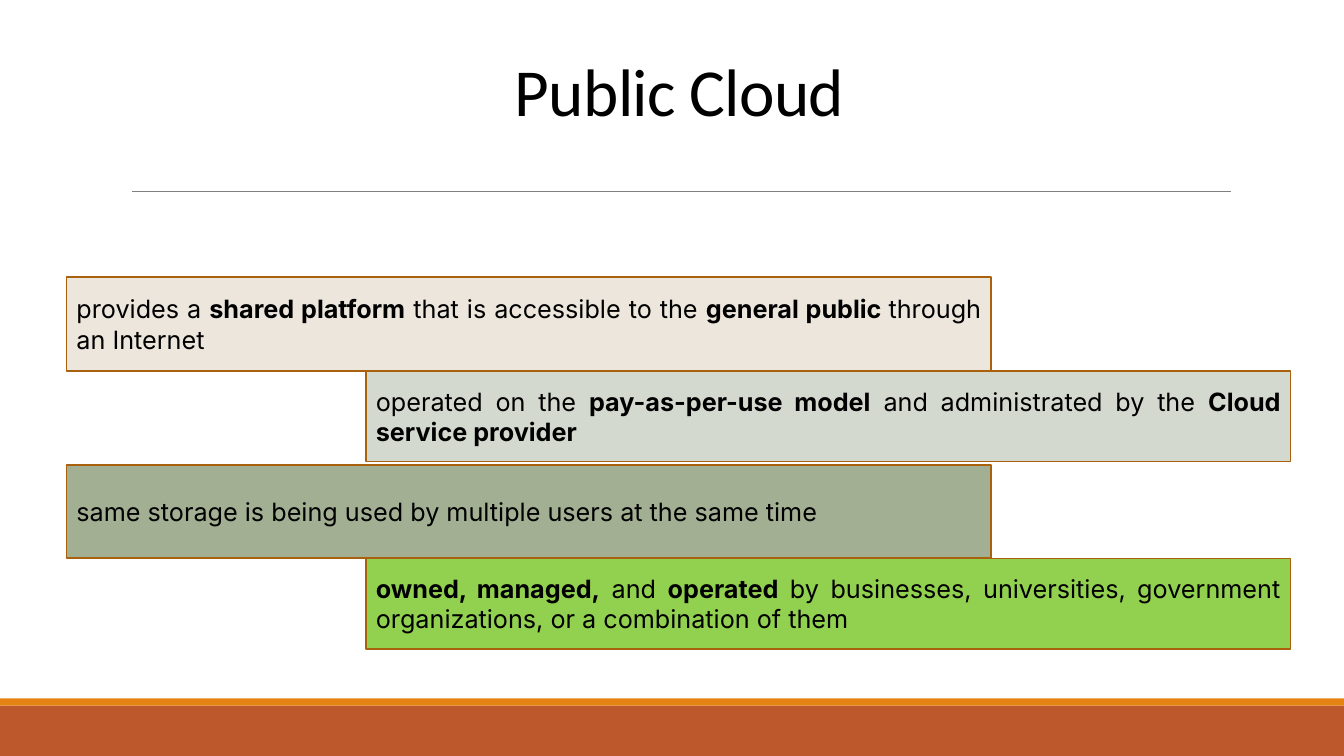
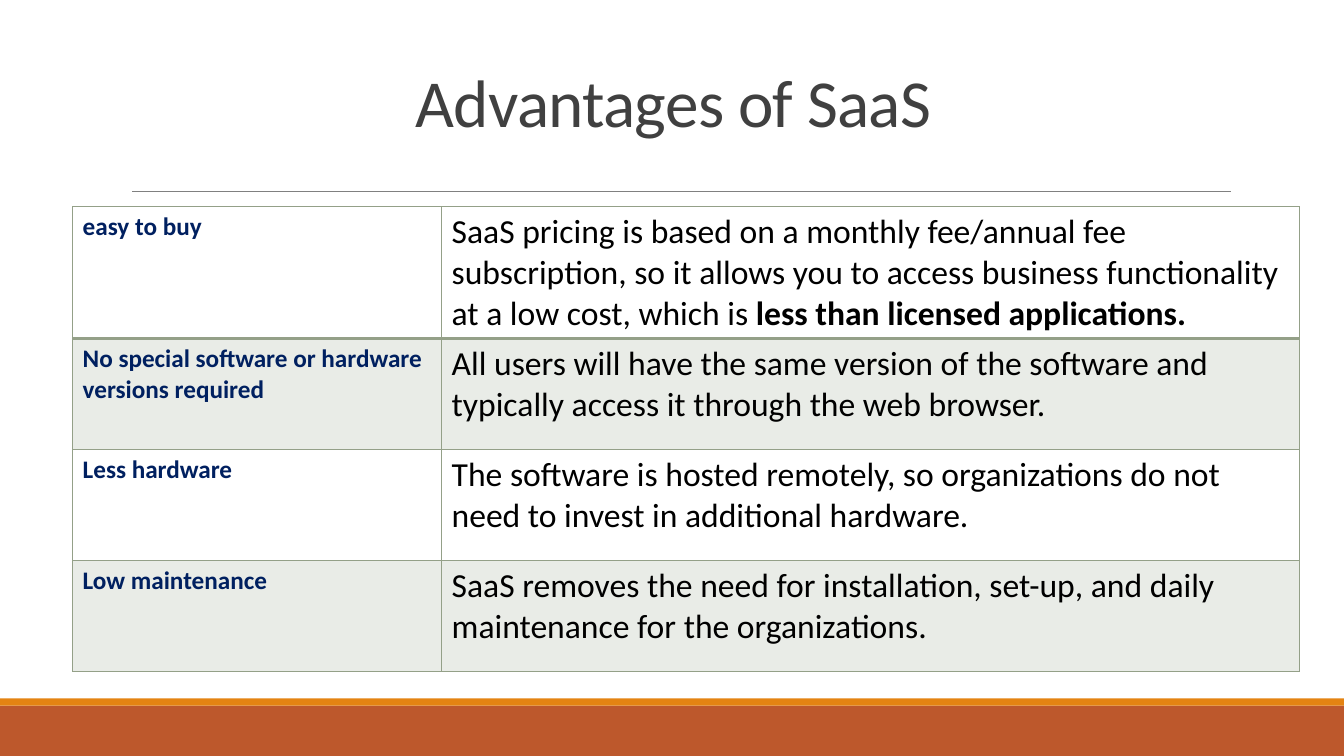
from lxml import etree
from pptx import Presentation
from pptx.dml.color import RGBColor
from pptx.enum.shapes import MSO_CONNECTOR, MSO_SHAPE
from pptx.enum.text import MSO_ANCHOR, PP_ALIGN
from pptx.oxml.ns import qn
from pptx.util import Inches, Pt

RECTANGLE = MSO_SHAPE.RECTANGLE
STRAIGHT = MSO_CONNECTOR.STRAIGHT
MIDDLE, BOTTOM = MSO_ANCHOR.MIDDLE, MSO_ANCHOR.BOTTOM
CENTER, JUSTIFY = PP_ALIGN.CENTER, PP_ALIGN.JUSTIFY

BLACK = "000000"
NAVY = "002060"
SAGE = "94A088"
PALE_SAGE = "E9ECE7"
BROWN = "A9610D"
RULE_GRAY = "808080"
FOOTER_BANDS = [(7, 0.5, "BD582C"), (6.93, 0.07, "E48312")]


def paint(color_format, hex_color):
    color_format.rgb = RGBColor.from_string(hex_color)


def write(frame, text, font_name, size, hex_color):
    paragraph = frame.paragraphs[0]
    paragraph.font.name = font_name
    paragraph.font.size = Pt(size)
    paint(paragraph.font.color, hex_color)
    for index, part in enumerate(text.split("**")):
        if part:
            run = paragraph.add_run()
            run.text = part
            run.font.bold = index % 2 == 1
    return paragraph


deck = Presentation()
deck.slide_width = Inches(13.33)
deck.slide_height = Inches(7.5)

titles = [
    ("Public Cloud", BLACK, 1.17, 0.57, 11.14, 0.77),
    ("Advantages of SaaS", "404040", 1.18, 0.63, 11, 0.82),
]
slides = []
for title, title_color, left, top, width, height in titles:
    slide = deck.slides.add_slide(deck.slide_layouts[6])
    slides.append(slide)

    for band_top, band_height, band_color in FOOTER_BANDS:
        band = slide.shapes.add_shape(
            RECTANGLE, 0, Inches(band_top), deck.slide_width, Inches(band_height))
        band.shadow.inherit = False
        band.fill.solid()
        paint(band.fill.fore_color, band_color)
        band.line.fill.background()

    title_rule = slide.shapes.add_connector(
        STRAIGHT, Inches(1.31), Inches(1.9), Inches(12.21), Inches(1.9))
    title_rule.line.width = Pt(0.5)
    paint(title_rule.line.color, RULE_GRAY)
    etree.SubElement(title_rule._element.spPr, qn("a:effectLst"))

    heading = slide.shapes.add_textbox(
        Inches(left), Inches(top), Inches(width), Inches(height)).text_frame
    heading.word_wrap = True
    heading.vertical_anchor = BOTTOM
    paragraph = write(heading, title, "Calibri", 48, title_color)
    paragraph.alignment = CENTER
    paragraph.line_spacing = 0.85
    paragraph.runs[0].font._element.set("spc", "-50")

cloud_slide, saas_slide = slides

features = [
    ("provides a **shared platform** that is accessible to the **general public **through an Internet",
     "ECE6DD"),
    ("operated on the **pay-as-per-use model** and administrated by the **Cloud service provider**",
     "D4D9CF"),
    ("same storage is being used by multiple users at the same time", "A2AF92"),
    ("**owned, managed,** and **operated** by businesses, universities, government organizations, "
     "or a combination of them", "92D050"),
]
for index, (feature, feature_color) in enumerate(features):
    indented = index % 2 == 1
    box = cloud_slide.shapes.add_shape(
        RECTANGLE, Inches(3.63 if indented else 0.66), Inches(2.75 + index * 0.93),
        Inches(9.17), Inches(0.9 if indented else 0.93))
    box.shadow.inherit = False
    box.fill.solid()
    paint(box.fill.fore_color, feature_color)
    box.line.width = Pt(1.25)
    paint(box.line.color, BROWN)
    box.text_frame.word_wrap = True
    box.text_frame.vertical_anchor = MIDDLE
    write(box.text_frame, feature, "Inter", 18, BLACK).alignment = JUSTIFY

advantages = [
    ("easy to buy",
     "SaaS pricing is based on a monthly fee/annual fee subscription, so it allows you to access "
     "business functionality at a low cost, which is **less than licensed applications.**"),
    ("No special software or hardware versions required",
     "All users will have the same version of the software and typically access it through the "
     "web browser."),
    ("Less hardware",
     "The software is hosted remotely, so organizations do not need to invest in additional "
     "hardware."),
    ("Low maintenance",
     "SaaS removes the need for installation, set-up, and daily maintenance for the "
     "organizations."),
]
table = saas_slide.shapes.add_table(
    len(advantages), 2, Inches(0.72), Inches(2.05), Inches(12.17), Inches(4.6)).table
table.first_row = False
table.horz_banding = False
table.columns[0].width = Inches(3.66)
table.columns[1].width = Inches(8.51)

for row, (advantage, explanation) in enumerate(advantages):
    table.rows[row].height = Inches(1.31 if row == 0 else 1.1)
    name_cell, explanation_cell = table.cell(row, 0), table.cell(row, 1)
    write(name_cell.text_frame, f"**{advantage}**", "Calibri", 18, NAVY)
    write(explanation_cell.text_frame, explanation, "Calibri", 24, BLACK)

    for cell in (name_cell, explanation_cell):
        properties = cell._tc.get_or_add_tcPr()
        for side in ("lnL", "lnR", "lnT", "lnB"):
            under_first_row = (row, side) in ((0, "lnB"), (1, "lnT"))
            border = etree.SubElement(
                properties, qn(f"a:{side}"), w=str(Pt(2 if under_first_row else 1)))
            border_fill = etree.SubElement(border, qn("a:solidFill"))
            etree.SubElement(border_fill, qn("a:srgbClr"), val=SAGE)
        if row % 2 == 1:
            cell.fill.solid()
            paint(cell.fill.fore_color, PALE_SAGE)
        else:
            cell.fill.background()

deck.save("out.pptx")
